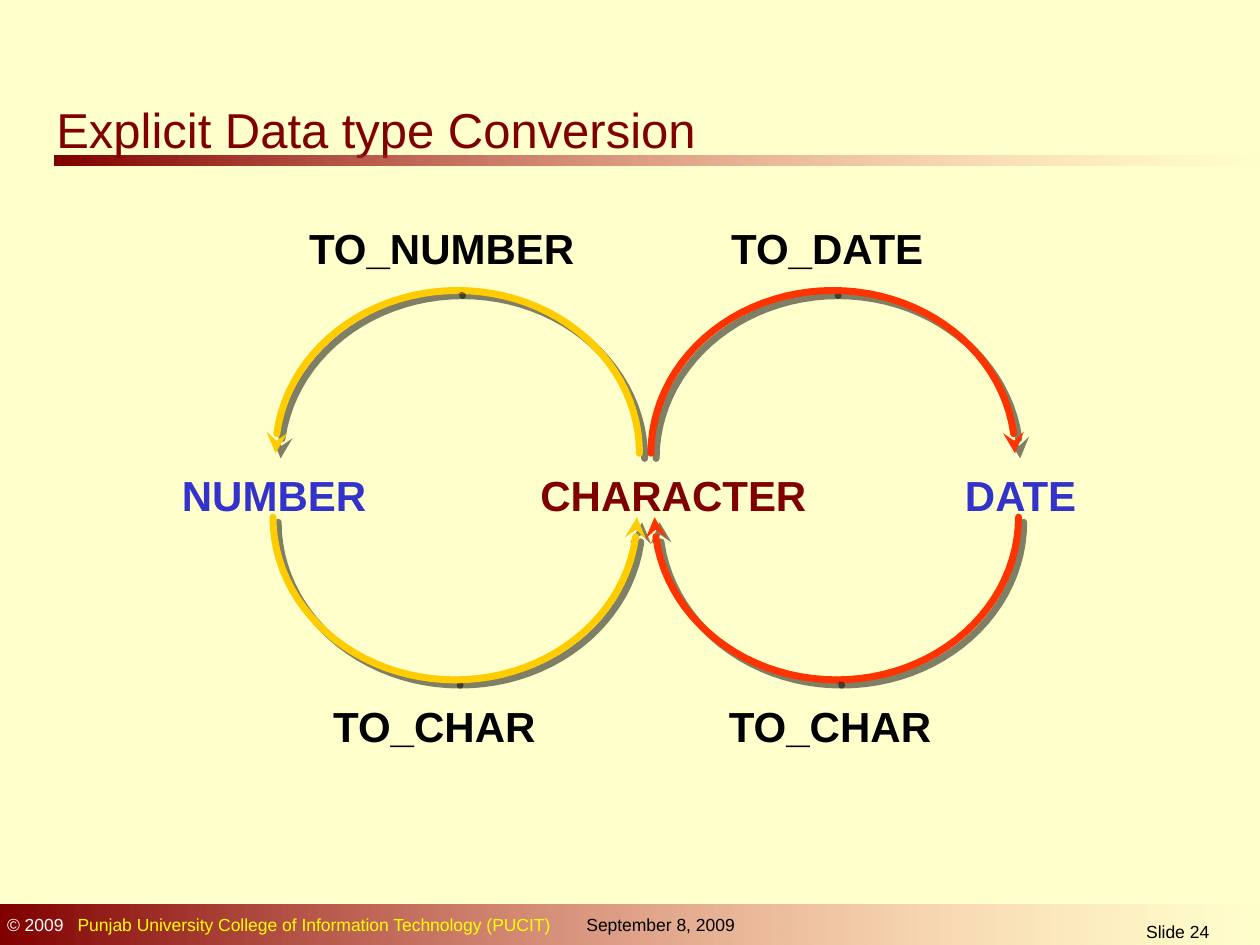
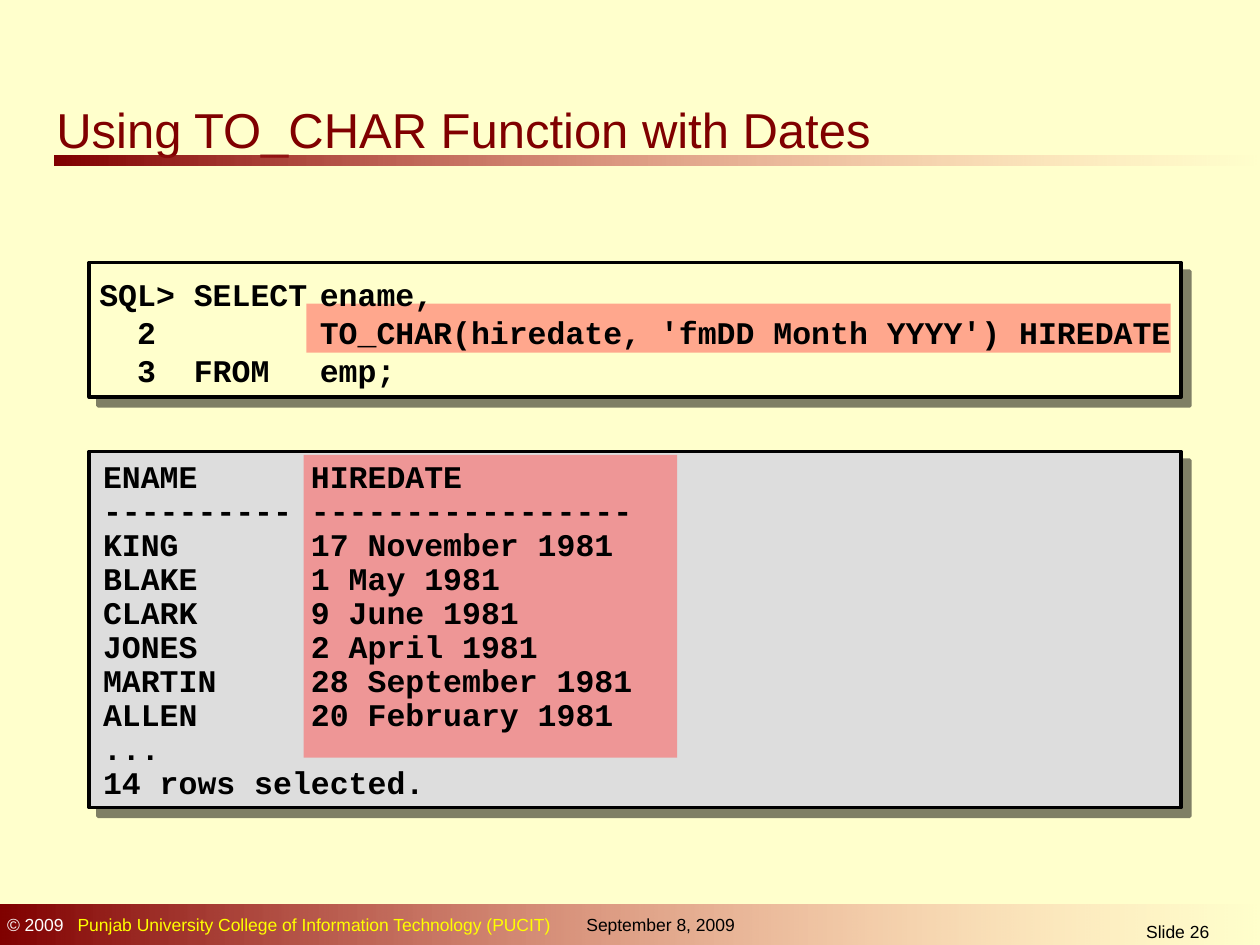
from math import cos, radians, sin

from pptx import Presentation
from pptx.dml.color import RGBColor as RGB
from pptx.enum.shapes import MSO_SHAPE as SHAPE
from pptx.enum.text import MSO_ANCHOR as ANCHOR, PP_ALIGN as ALIGN
from pptx.oxml import parse_xml
from pptx.oxml.ns import nsdecls, qn
from pptx.util import Pt

CREAM = RGB(0xFF, 0xFF, 0xCC)
MAROON = RGB(0x80, 0x00, 0x00)
PINK = RGB(0xFF, 0x85, 0x85)
ROSE = RGB(0xFF, 0x50, 0x50)
WHITE = RGB(0xFF, 0xFF, 0xFF)
YELLOW = RGB(0xFF, 0xFF, 0x00)
BLACK = RGB(0x00, 0x00, 0x00)
BLUE = RGB(0x33, 0x33, 0xCC)
GOLD = RGB(0xFF, 0xCC, 0x00)
RED = RGB(0xFF, 0x33, 0x00)
GREY = RGB(0xDD, 0xDD, 0xDD)


def write(frame, lines, size, bold=False, font="Arial", align=ALIGN.LEFT,
          pitch=None, tabs=()):
    """Fill a frame; each line is a list of (text, colour) runs."""
    frame.word_wrap = True
    frame.vertical_anchor = ANCHOR.TOP
    for i, runs in enumerate(lines):
        para = frame.paragraphs[0] if i == 0 else frame.add_paragraph()
        para.alignment = align
        para.line_spacing = Pt(pitch or 1.2 * size)
        if tabs:
            stops = "".join(f'<a:tab pos="{Pt(t)}" algn="l"/>' for t in tabs)
            para._p.get_or_add_pPr().append(
                parse_xml(f'<a:tabLst {nsdecls("a")}>{stops}</a:tabLst>'))
        for text, color in runs:
            run = para.add_run()
            run.text = text
            run.font.name = font
            run.font.size = Pt(size)
            run.font.bold = bold
            run.font.color.rgb = color


def shade(shape, dist):
    """Cast a half-clear black shadow to the lower right."""
    shape.shadow.inherit = False
    shape._element.spPr.find(qn("a:effectLst")).append(parse_xml(
        f'<a:outerShdw {nsdecls("a")} blurRad="0" dist="{Pt(dist)}" '
        'dir="2700000" algn="ctr" rotWithShape="0"><a:srgbClr val="000000">'
        '<a:alpha val="50000"/></a:srgbClr></a:outerShdw>'))


deck = Presentation()
deck.slide_width, deck.slide_height = Pt(720), Pt(540)
back = deck.slide_master.background.fill
back.solid()
back.fore_color.rgb = CREAM

# Shared frame: bands, footer and title
FOOT = [
    (-3, 518.5, 330, ALIGN.LEFT, [("© 2009", WHITE), (
        "\tPunjab University College of Information Technology (PUCIT)",
        YELLOW)]),
    (328, 518.5, 112, ALIGN.LEFT, [("September 8, 2009", BLACK)]),
]
slides = []
for title, page, wide in [("Explicit Data type Conversion", 24, 388),
                          ("Using TO_CHAR Function with Dates", 26, 502)]:
    slide = deck.slides.add_slide(deck.slide_layouts[5])
    slides.append(slide)
    for x, y, w, h in [(31, 88.6, 689, 5.8), (0, 517, 720, 23)]:
        band = slide.shapes.add_shape(SHAPE.RECTANGLE, Pt(x), Pt(y), Pt(w), Pt(h))
        band.shadow.inherit = False
        band.line.fill.background()
        band.fill.gradient()
        band.fill.gradient_angle = 0
        for stop, color in zip(band.fill.gradient_stops, (MAROON, PINK)):
            stop.color.rgb = color
        last = band._element.spPr.findall(".//" + qn("a:srgbClr"))[-1]
        last.append(parse_xml(f'<a:alpha {nsdecls("a")} val="0"/>'))

    number = (598, 522.7, 150, ALIGN.CENTER, [(f"Slide {page}", BLACK)])
    for x, y, w, align, runs in FOOT + [number]:
        box = slide.shapes.add_textbox(Pt(x), Pt(y), Pt(w), Pt(19))
        write(box.text_frame, [runs], 10, align=align, tabs=[40.3])

    head = slide.shapes.title
    head.left, head.top, head.width, head.height = Pt(25), Pt(53), Pt(wide), Pt(43)
    write(head.text_frame, [[(title, MAROON)]], 28)

# Slide 24: arcs between the data types, two quarters each
flow, query = slides
RX, RY, STEPS = 104, 93, 24
for cx, cy, way, side, color in [
        (260, 295.5, 1, 1, GOLD), (261.4, 259, -1, -1, GOLD),
        (478, 295.5, -1, 1, RED), (476, 259, 1, -1, RED)]:
    for start in (0, 90):
        turns = [radians(start + 90 * i / STEPS) for i in range(STEPS + 1)]
        dots = [(Pt(cx - way * RX * cos(t)), Pt(cy + side * RY * sin(t)))
                for t in turns]
        pen = flow.shapes.build_freeform(*dots[0])
        pen.add_line_segments(dots[1:], close=False)
        arc = pen.convert_to_shape()
        arc.fill.background()
        arc.line.color.rgb = color
        arc.line.width = Pt(4)
        edge = arc.line._get_or_add_ln()
        edge.set("cap", "rnd")
        edge.append(parse_xml(f'<a:round {nsdecls("a")}/>'))
        if start:
            edge.append(parse_xml(f'<a:tailEnd {nsdecls("a")} type="stealth"/>'))
        shade(arc, 4.2)

for text, mid, top, color in [
        ("NUMBER", 156.6, 264.5, BLUE), ("CHARACTER", 384.8, 264.5, MAROON),
        ("DATE", 583.2, 264.5, BLUE),
        ("TO_NUMBER", 252.4, 123.5, BLACK), ("TO_DATE", 472.7, 123.5, BLACK),
        ("TO_CHAR", 248.2, 397, BLACK), ("TO_CHAR", 474.3, 397, BLACK)]:
    box = flow.shapes.add_textbox(Pt(mid - 102.5), Pt(top), Pt(205), Pt(36))
    write(box.text_frame, [[(text, color)]], 24, bold=True, align=ALIGN.CENTER)

# Slide 26: code panel and result panel
for y, h, color in [(150, 77, CREAM), (258, 203.5, GREY)]:
    panel = query.shapes.add_shape(SHAPE.RECTANGLE, Pt(51), Pt(y), Pt(624), Pt(h))
    panel.fill.solid()
    panel.fill.fore_color.rgb = color
    panel.line.color.rgb = BLACK
    panel.line.width = Pt(2)
    shade(panel, 7.1)

# Half-clear marks behind the text
for x, y, w, h in [(175, 173.5, 494, 28), (173.5, 260, 213.5, 173)]:
    mark = query.shapes.add_shape(SHAPE.RECTANGLE, Pt(x), Pt(y), Pt(w), Pt(h))
    mark.shadow.inherit = False
    mark.line.fill.background()
    mark.fill.solid()
    mark.fill.fore_color.rgb = ROSE
    mark._element.spPr.find(".//" + qn("a:srgbClr")).append(
        parse_xml(f'<a:alpha {nsdecls("a")} val="50000"/>'))

CODE = ["SQL> SELECT\tename,",
        "  2\t\tTO_CHAR(hiredate, 'fmDD Month YYYY') HIREDATE",
        "  3\tFROM\temp;"]
ROWS = ["ENAME\tHIREDATE",
        "-" * 10 + "\t" + "-" * 17,
        "KING\t17 November 1981",
        "BLAKE\t1 May 1981",
        "CLARK\t9 June 1981",
        "JONES\t2 April 1981",
        "MARTIN\t28 September 1981",
        "ALLEN\t20 February 1981",
        "...",
        "14 rows selected."]
for lines, x, y, w, h, pitch, tabs in [
        (CODE, 49.7, 153.5, 640, 74, 21.7, [54, 126]),
        (ROWS, 51.8, 260, 572, 201, 19.4, [118.8])]:
    box = query.shapes.add_textbox(Pt(x), Pt(y), Pt(w), Pt(h))
    write(box.text_frame, [[(line, BLACK)] for line in lines], 18, bold=True,
          font="Courier New", pitch=pitch, tabs=tabs)

deck.save("out.pptx")
